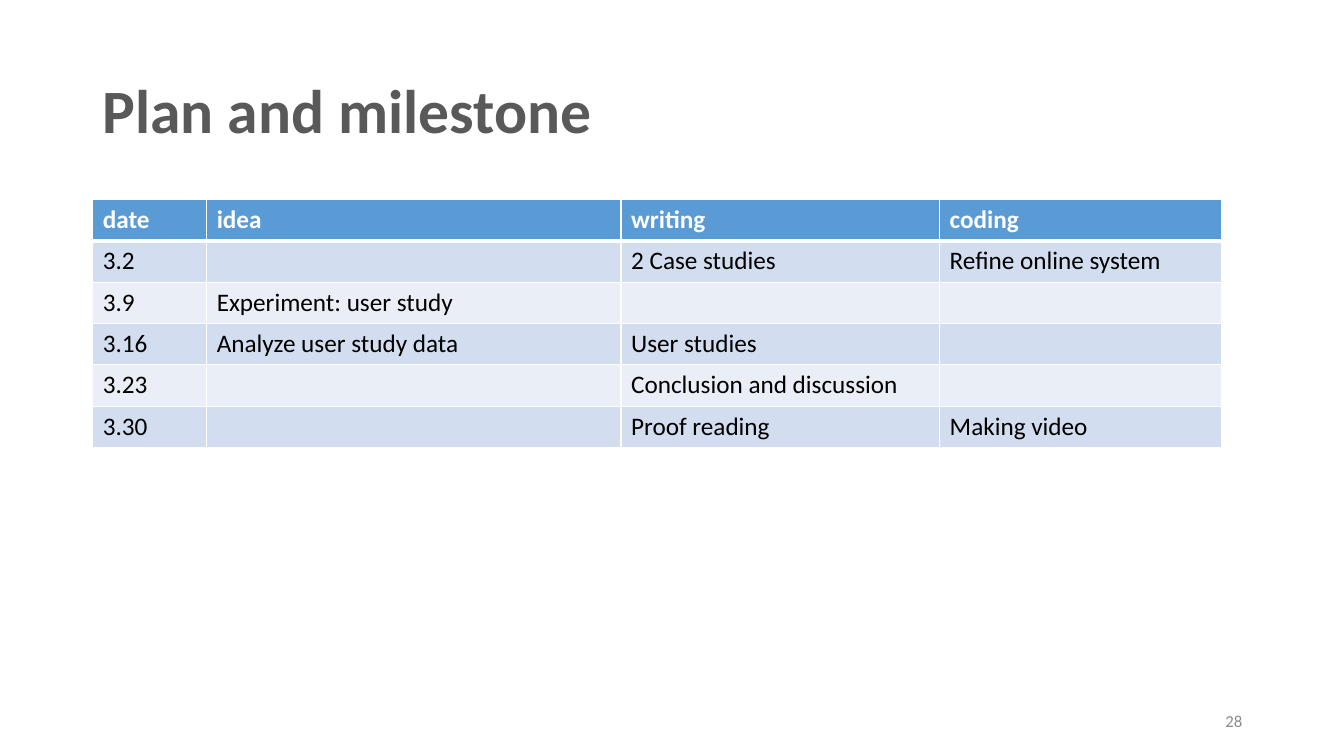
from dataclasses import dataclass

import pptx
import pptx.dml.color
import pptx.enum.text
import pptx.oxml
import pptx.oxml.ns
import pptx.util

Inches = pptx.util.Inches
Align = pptx.enum.text.PP_ALIGN
Anchor = pptx.enum.text.MSO_ANCHOR


@dataclass(frozen=True)
class Theme:
    font: str = "Calibri"
    title_color: str = "595959"
    number_color: str = "8C8C8C"
    header_fill: str = "5B9BD5"
    band_fills: tuple[str, str] = ("D2DEEF", "EAEFF7")
    white: str = "FFFFFF"
    body_color: str = "000000"
    title_size: int = 44
    table_size: int = 18
    number_size: int = 12
    rule_width: int = 1
    header_rule_width: int = 3


@dataclass(frozen=True)
class TextStyle:
    size: int
    color: str
    bold: bool = False


@dataclass(frozen=True)
class Caption:
    text: str
    left: float
    top: float
    width: float
    height: float
    style: TextStyle
    align: Align = Align.LEFT
    line_spacing: float = 1.0


@dataclass(frozen=True)
class Milestone:
    date: str
    idea: str = ""
    writing: str = ""
    coding: str = ""

    def entries(self) -> tuple[str, ...]:
        return self.date, self.idea, self.writing, self.coding


THEME = Theme()

CAPTIONS = [
    Caption("Plan and milestone", 0.92, 0.4, 11.5, 1.45,
            TextStyle(THEME.title_size, THEME.title_color, True), line_spacing=0.9),
    Caption("28", 9.42, 6.95, 3, 0.4,
            TextStyle(THEME.number_size, THEME.number_color), Align.RIGHT),
]

PLAN = [
    Milestone("date", "idea", "writing", "coding"),
    Milestone("3.2", writing="2 Case studies", coding="Refine online system"),
    Milestone("3.9", idea="Experiment: user study"),
    Milestone("3.16", idea="Analyze user study data", writing="User studies"),
    Milestone("3.23", writing="Conclusion and discussion"),
    Milestone("3.30", writing="Proof reading", coding="Making video"),
]
COLUMN_WIDTHS = [1.13, 4.11, 3.16, 2.8]
ROW_HEIGHT = 0.41


def rgb(color: str) -> pptx.dml.color.RGBColor:
    return pptx.dml.color.RGBColor.from_string(color)


def add_run(paragraph, text: str, style: TextStyle) -> None:
    run = paragraph.add_run()
    run.text = text
    run.font.name = THEME.font
    run.font.size = pptx.util.Pt(style.size)
    run.font.bold = style.bold
    run.font.color.rgb = rgb(style.color)


def add_caption(slide, caption: Caption) -> None:
    box = slide.shapes.add_textbox(
        Inches(caption.left), Inches(caption.top),
        Inches(caption.width), Inches(caption.height))
    frame = box.text_frame
    frame.word_wrap = True
    frame.vertical_anchor = Anchor.MIDDLE
    paragraph = frame.paragraphs[0]
    paragraph.alignment = caption.align
    paragraph.line_spacing = caption.line_spacing
    add_run(paragraph, caption.text, caption.style)


def add_border(cell, side: str, width: int) -> None:
    border = pptx.oxml.parse_xml(
        f'<a:ln{side} {pptx.oxml.ns.nsdecls("a")} w="{pptx.util.Pt(width)}">'
        f'<a:solidFill><a:srgbClr val="{THEME.white}"/></a:solidFill></a:ln{side}>')
    cell._tc.get_or_add_tcPr().append(border)


def fill_cell(cell, text: str, row: int) -> None:
    is_header = row == 0
    heavy_side = {0: "B", 1: "T"}.get(row)
    for side in "LRTB":
        add_border(cell, side,
                   THEME.header_rule_width if side == heavy_side else THEME.rule_width)
    cell.fill.solid()
    cell.fill.fore_color.rgb = rgb(
        THEME.header_fill if is_header else THEME.band_fills[(row - 1) % 2])
    if text:
        color = THEME.white if is_header else THEME.body_color
        add_run(cell.text_frame.paragraphs[0], text,
                TextStyle(THEME.table_size, color, is_header))


def add_plan(slide, milestones: list[Milestone]) -> None:
    plan = slide.shapes.add_table(
        len(milestones), len(COLUMN_WIDTHS), Inches(0.92), Inches(1.98),
        Inches(sum(COLUMN_WIDTHS)), Inches(ROW_HEIGHT * len(milestones))).table
    for column, width in zip(plan.columns, COLUMN_WIDTHS):
        column.width = Inches(width)
    for row, milestone in enumerate(milestones):
        plan.rows[row].height = Inches(ROW_HEIGHT)
        for column, text in enumerate(milestone.entries()):
            fill_cell(plan.cell(row, column), text, row)


def main() -> None:
    deck = pptx.Presentation()
    deck.slide_width = Inches(13.33)
    deck.slide_height = Inches(7.5)
    slide = deck.slides.add_slide(deck.slide_layouts[6])
    add_plan(slide, PLAN)
    for caption in CAPTIONS:
        add_caption(slide, caption)
    deck.save("out.pptx")


if __name__ == "__main__":
    main()
